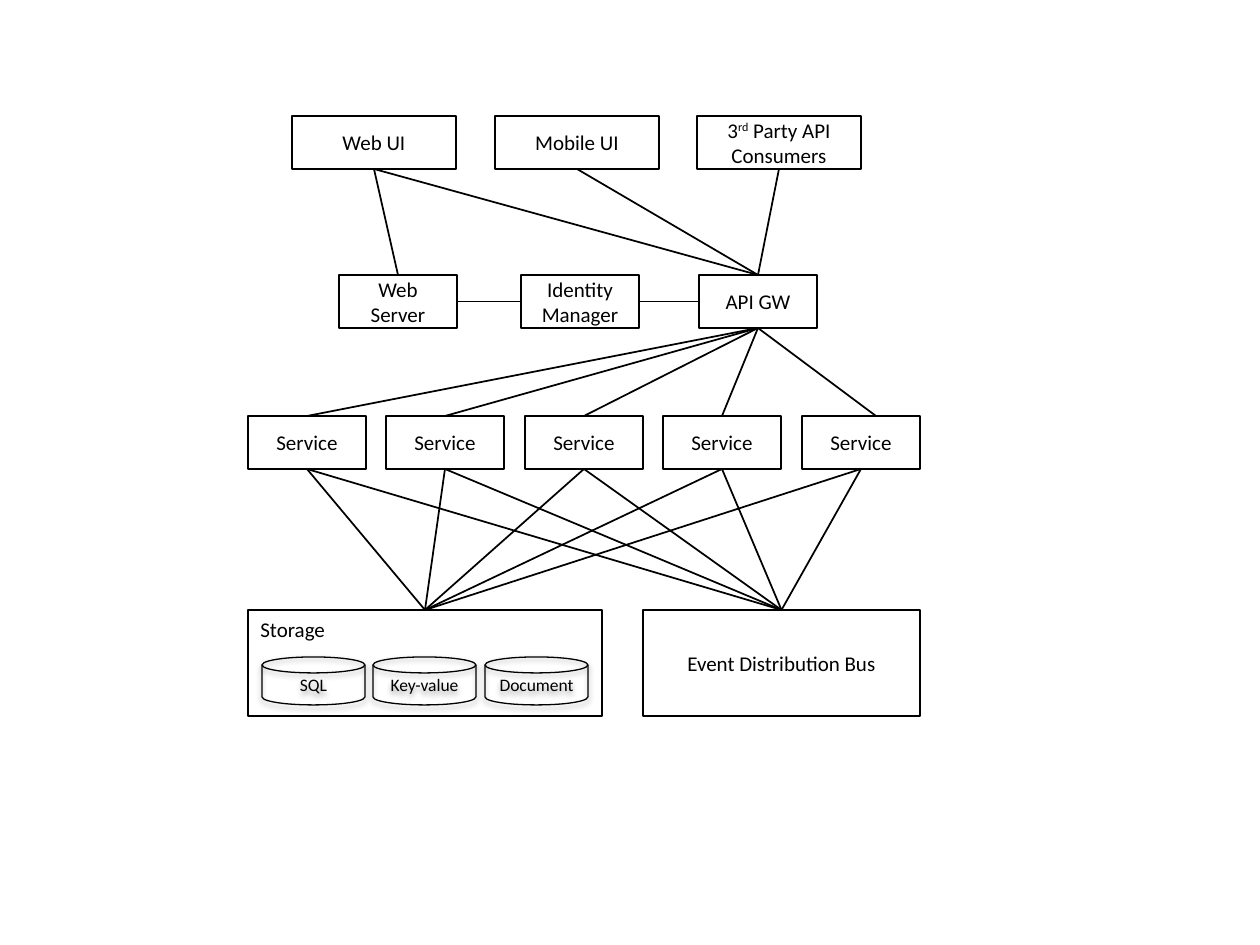
"""Draw a service architecture diagram with boxes, links and storage disks."""
from lxml.etree import SubElement
from pptx import Presentation
from pptx.dml.color import RGBColor
from pptx.enum.shapes import MSO_CONNECTOR, MSO_SHAPE
from pptx.enum.text import MSO_ANCHOR, PP_ALIGN
from pptx.oxml.ns import qn
from pptx.util import Emu, Pt

SCALE = 914400 / 126
HEX = {"ink": "000000", "paper": "FFFFFF"}
TOP, LEFT, BOTTOM, RIGHT = range(4)


def px(size):
    """Turn pixels into EMU."""
    return Emu(round(size * SCALE))


def tint(name):
    """Look up a colour by name."""
    return RGBColor.from_string(HEX[name])


def style(run, size):
    """Set the font of a run."""
    run.font.name = "Calibri"
    run.font.size = Pt(size)
    run.font.color.rgb = tint("ink")


def node(shapes, kind, area, text, size=12, width=1, fill="paper"):
    """Add an outlined shape with centred text."""
    shape = shapes.add_shape(kind, *map(px, area))
    shape.shadow.inherit = False
    if fill:
        shape.fill.solid()
        shape.fill.fore_color.rgb = tint(fill)
    else:
        shape.fill.background()
    shape.line.color.rgb = tint("ink")
    shape.line.width = Pt(width)
    frame = shape.text_frame
    frame.word_wrap = True
    frame.vertical_anchor = MSO_ANCHOR.MIDDLE
    frame.text = text
    para = frame.paragraphs[0]
    para.alignment = PP_ALIGN.CENTER
    for run in para.runs:
        style(run, size)
    return shape


def row(shapes, lefts, top, width, texts):
    """Add a row of equal boxes."""
    return [node(shapes, MSO_SHAPE.RECTANGLE, (left, top, width, 53), text)
            for left, text in zip(lefts, texts)]


def raise_end(shape, parts):
    """Split the text into runs, the second of them superscript."""
    para = shape.text_frame.paragraphs[0]
    para.text = ""
    for part in parts:
        run = para.add_run()
        run.text = part
        style(run, 12)
    para.runs[1].font._element.set("baseline", "30000")


def link(shapes, start, side, end=None, stop=TOP, point=(0, 0)):
    """Join two boxes, or a box and a point, with a straight line."""
    line = shapes.add_connector(MSO_CONNECTOR.STRAIGHT, 0, 0, *map(px, point))
    line.begin_connect(start, side)
    if end is not None:
        line.end_connect(end, stop)
    line.line.color.rgb = tint("ink")
    line.line.width = Pt(1)
    SubElement(line._element.spPr, qn("a:effectLst"))


def shade(shape):
    """Give a shape a soft shadow below it."""
    effects = shape._element.spPr.find(qn("a:effectLst"))
    outer = SubElement(effects, qn("a:outerShdw"), blurRad="40000",
                       dist="23000", dir="5400000", rotWithShape="0")
    color = SubElement(outer, qn("a:srgbClr"), val=HEX["ink"])
    SubElement(color, qn("a:alpha"), val="35000")


def store(shapes):
    """Add the storage box with its disks as one group."""
    parts = shapes.add_group_shape().shapes
    box = node(parts, MSO_SHAPE.RECTANGLE, (248, 610, 354, 106), "Storage",
               fill=None)
    box.text_frame.vertical_anchor = MSO_ANCHOR.TOP
    box.text_frame.paragraphs[0].alignment = PP_ALIGN.LEFT
    for left, text in zip((262, 373, 485), ("SQL", "Key-value", "Document")):
        shade(node(parts, MSO_SHAPE.FLOWCHART_MAGNETIC_DISK,
                   (left, 657, 103, 48), text, 10, 0.75, None))
    return box


def main():
    """Build and save the slide."""
    deck = Presentation()
    deck.slide_width, deck.slide_height = px(1260), px(945)
    shapes = deck.slides.add_slide(deck.slide_layouts[6]).shapes

    web, mobile, third = row(shapes, (292, 495, 697), 116, 164,
                             ("Web UI", "Mobile UI", ""))
    raise_end(third, ("3", "rd", " Party API Consumers"))
    server, ident, gate = row(shapes, (339, 521, 699), 275, 118,
                              ("Web Server", "Identity Manager", "API GW"))
    lefts = [248 + 277 * i // 2 for i in range(5)]
    services = row(shapes, lefts, 416, 118, ["Service"] * 5)
    storage = store(shapes)
    bus = node(shapes, MSO_SHAPE.RECTANGLE, (643, 610, 277, 106),
               "Event Distribution Bus")

    link(shapes, web, BOTTOM, server)
    for client in (web, mobile, third):
        link(shapes, client, BOTTOM, gate)
    link(shapes, server, RIGHT, ident, LEFT)
    link(shapes, gate, LEFT, ident, RIGHT)
    for service in services[:-1]:
        link(shapes, gate, BOTTOM, service)
    link(shapes, gate, BOTTOM, point=(876, 416))
    for target in (storage, bus):
        for service in services:
            link(shapes, service, BOTTOM, target)

    deck.save("out.pptx")


main()
